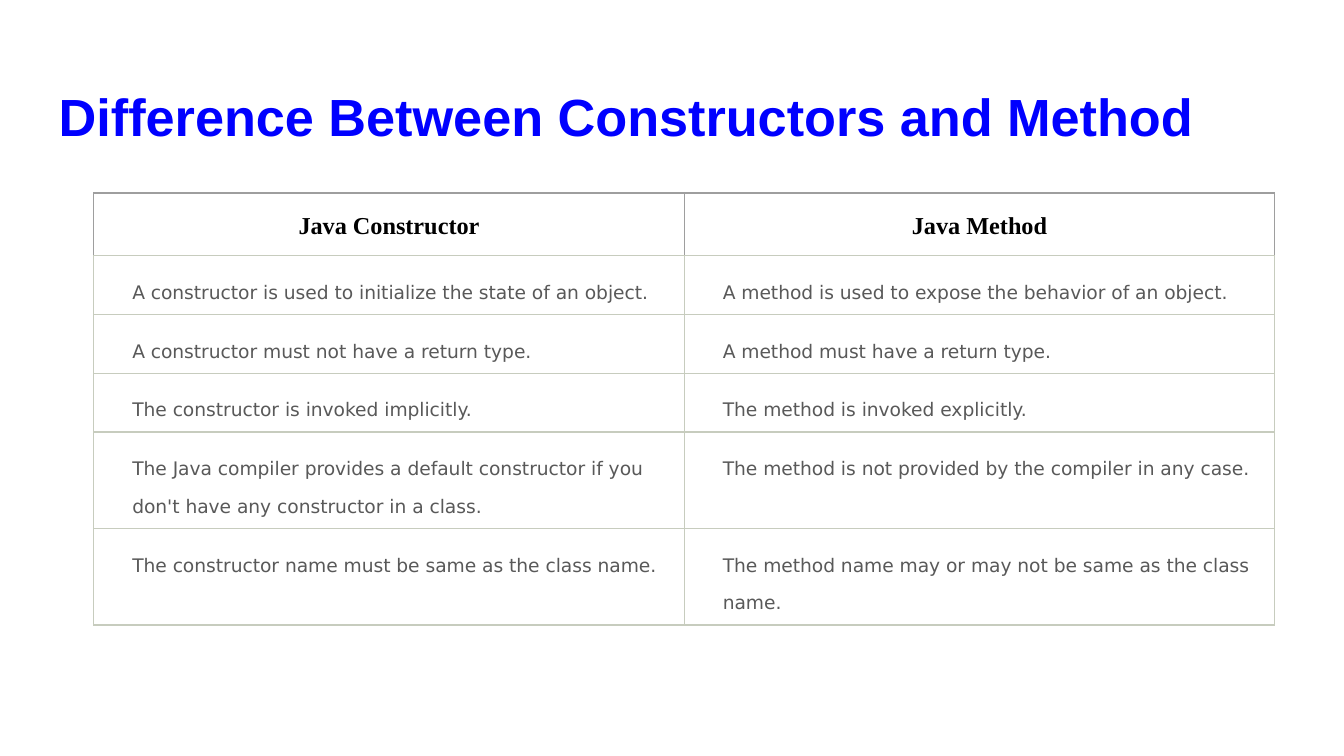
from lxml import etree
from pptx import Presentation
from pptx.dml.color import RGBColor
from pptx.enum.text import MSO_ANCHOR, MSO_AUTO_SIZE, PP_ALIGN
from pptx.oxml.ns import qn
from pptx.util import Cm, Pt

LEFT, CENTER = PP_ALIGN.LEFT, PP_ALIGN.CENTER
TOP = MSO_ANCHOR.TOP
NO_AUTOFIT = MSO_AUTO_SIZE.NONE

COLORS = {
    "title": "0000FF",
    "header": "000000",
    "body": "595959",
    "paper": "FFFFFF",
    "header_border": "9E9E9E",
    "body_border": "C7CCBE",
}

TITLE = "Difference Between Constructors and Method"
HEADINGS = ("Java Constructor", "Java Method")
DIFFERENCES = [
    ("A constructor is used to initialize the state of an object.",
     "A method is used to expose the behavior of an object."),
    ("A constructor must not have a return type.",
     "A method must have a return type."),
    ("The constructor is invoked implicitly.",
     "The method is invoked explicitly."),
    ("The Java compiler provides a default constructor if you don't have any "
     "constructor in a class.",
     "The method is not provided by the compiler in any case."),
    ("The constructor name must be same as the class name.",
     "The method name may or may not be same as the class name."),
]


def add_run(paragraph, text, font_name, size, color, bold=False):
    run = paragraph.add_run()
    run.text = text
    run.font.name = font_name
    run.font.size = Pt(size)
    run.font.bold = bold
    run.font.color.rgb = RGBColor.from_string(COLORS[color])


def set_margins(holder, margin):
    holder.margin_left = holder.margin_right = margin
    holder.margin_top = holder.margin_bottom = margin


def add_title(slide):
    title = slide.shapes.title
    title.left, title.top = Cm(0.86), Cm(1.24)
    title.width, title.height = Cm(23.67), Cm(1.6)
    frame = title.text_frame
    frame.word_wrap = True
    frame.auto_size = NO_AUTOFIT
    frame.vertical_anchor = TOP
    set_margins(frame, Cm(0.25))
    frame.margin_top = Cm(0.36)
    paragraph = frame.paragraphs[0]
    paragraph.alignment = LEFT
    add_run(paragraph, TITLE, "Arial", 28, "title", bold=True)


def set_borders(cell, side_colors):
    """Draw thin borders; side_colors follows left, right, top, bottom."""
    properties = cell._tc.get_or_add_tcPr()
    for side, color in zip("LRTB", side_colors):
        line = etree.SubElement(properties, qn(f"a:ln{side}"), w=str(Pt(0.75)))
        fill = etree.SubElement(line, qn("a:solidFill"))
        etree.SubElement(fill, qn("a:srgbClr"), val=COLORS[color])


def fill_header_cell(cell, text):
    set_margins(cell, Cm(0.3))
    set_borders(cell, ["header_border"] * 3 + ["body_border"])
    cell.fill.solid()
    cell.fill.fore_color.rgb = RGBColor.from_string(COLORS["paper"])
    paragraph = cell.text_frame.paragraphs[0]
    paragraph.alignment = CENTER
    paragraph.line_spacing = 1.15
    add_run(paragraph, text, "Times New Roman", 13, "header", bold=True)


def fill_body_cell(cell, text, is_first_row):
    set_margins(cell, Cm(0.2))
    set_borders(cell, ["body_border"] * 4)
    cell.fill.background()
    paragraph = cell.text_frame.paragraphs[0]
    paragraph.alignment = LEFT
    paragraph.line_spacing = 1.73
    indent = paragraph._p.get_or_add_pPr()
    indent.set("marL", str(Cm(0.53)))
    indent.set("indent", "0")
    add_run(paragraph, text, "DejaVu Sans", 10, "body")


def add_comparison(slide):
    row_count = len(DIFFERENCES) + 1
    row_height = Cm(1.07)
    table = slide.shapes.add_table(
        row_count, len(HEADINGS), Cm(1.77), Cm(3.65), Cm(22.32),
        row_height * row_count).table
    table.first_row = table.horz_banding = False
    for column, heading in enumerate(HEADINGS):
        fill_header_cell(table.cell(0, column), heading)
    for row, statements in enumerate(DIFFERENCES, start=1):
        for column, statement in enumerate(statements):
            fill_body_cell(table.cell(row, column), statement, row == 1)


def main():
    deck = Presentation()
    deck.slide_width, deck.slide_height = Cm(25.4), Cm(14.29)
    title_only = deck.slide_layouts[5]
    slide = deck.slides.add_slide(title_only)
    add_title(slide)
    add_comparison(slide)
    deck.save("out.pptx")


if __name__ == "__main__":
    main()
